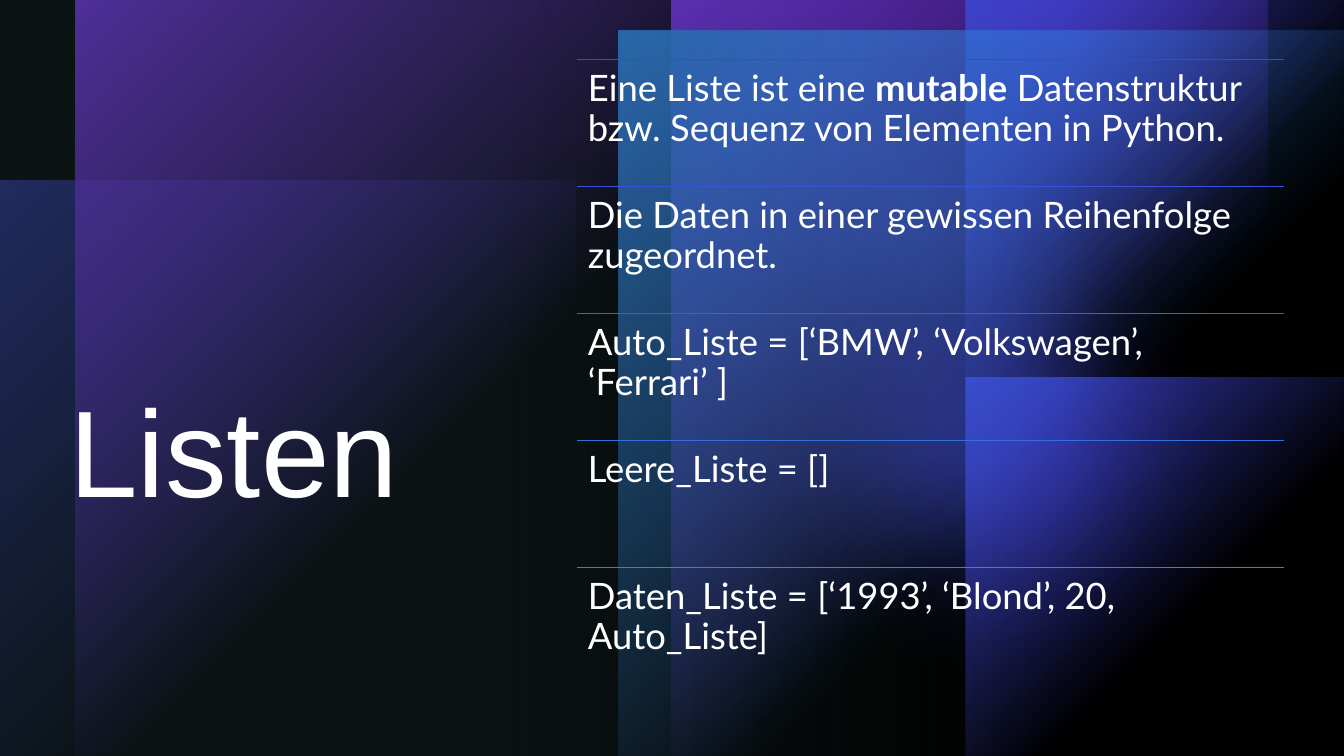
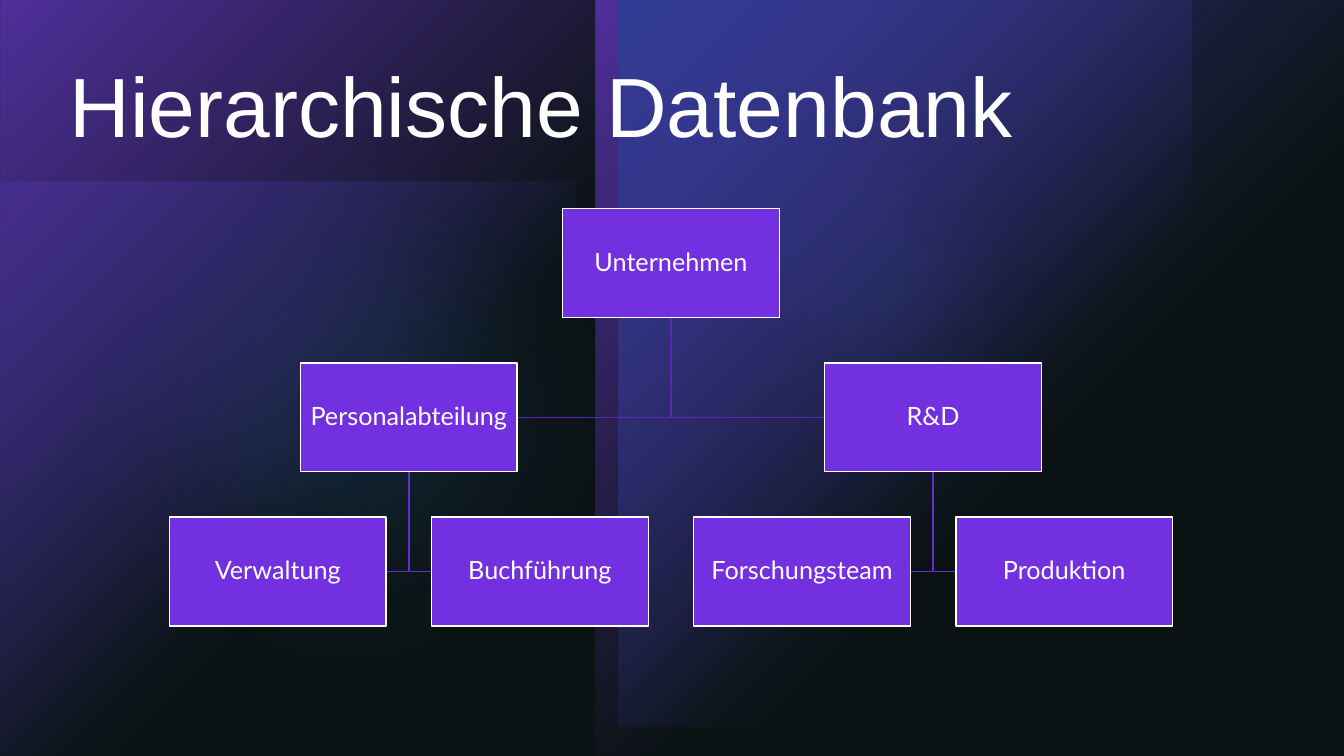
from pptx import Presentation
from pptx.dml.color import RGBColor
from pptx.enum.shapes import MSO_CONNECTOR, MSO_SHAPE
from pptx.enum.text import MSO_ANCHOR, PP_ALIGN
from pptx.oxml import parse_xml
from pptx.oxml.ns import nsdecls, qn
from pptx.util import Inches, Pt
from lxml import etree

HUES = {
    "black": "000000", "white": "FFFFFF", "violet": "7230E0",
    "indigo": "3F45D5", "blue": "3081E0", "slate": "1C2F31",
    "branch": "5B26B3", "twig": "672CCB",
}
RULES = ["3F45D5", "3B52D8", "3860DA", "3470DD", "3081E0"]
HEAD, BODY = "Arial", "Lato"
WIDE, HIGH = 13.33, 7.5
FULL = (0, 0, WIDE, HIGH)


def layer(slide, form, box, stops, turn=0, flip="", linear=False):
    """Add a translucent shape; stops are (position, hue, alpha) in percent."""
    shape = slide.shapes.add_shape(form, *[Inches(v) for v in box])
    shape.shadow.inherit = False
    shape.line.fill.background()
    shape.fill.background()
    shape.rotation = turn
    props = shape.element.spPr
    for axis in flip:
        props.xfrm.set("flip" + axis.upper(), "1")
    tints = [f'<a:srgbClr val="{HUES[hue]}"><a:alpha val="{alpha * 1000}"/></a:srgbClr>'
             for _, hue, alpha in stops]
    if len(stops) == 1:
        xml = f'<a:solidFill {nsdecls("a")}>{tints[0]}</a:solidFill>'
    else:
        marks = "".join(f'<a:gs pos="{stop[0] * 1000}">{tint}</a:gs>'
                        for stop, tint in zip(stops, tints))
        course = ('<a:lin ang="0" scaled="0"/>' if linear else
                  '<a:path path="circle"><a:fillToRect r="100000" b="100000"/></a:path>'
                  '<a:tileRect l="-100000" t="-100000"/>')
        xml = (f'<a:gradFill {nsdecls("a")} rotWithShape="1">'
               f'<a:gsLst>{marks}</a:gsLst>{course}</a:gradFill>')
    props.replace(props.find(qn("a:noFill")), parse_xml(xml))
    if form == MSO_SHAPE.OVAL:
        edge = etree.SubElement(props.find(qn("a:effectLst")), qn("a:softEdge"))
        edge.set("rad", str(Pt(100)))


def write(shape, text, size, font, inset=None, anchor=MSO_ANCHOR.TOP, align=PP_ALIGN.LEFT):
    """Fill a shape with one paragraph; parts between ** are bold."""
    frame = shape.text_frame
    frame.word_wrap = True
    frame.vertical_anchor = anchor
    if inset is not None:
        frame.margin_left = frame.margin_right = Inches(inset)
        frame.margin_top = frame.margin_bottom = Inches(inset)
    para = frame.paragraphs[0]
    para.alignment = align
    para.line_spacing = 0.9
    for i, part in enumerate(text.split("**")):
        run = para.add_run()
        run.text = part
        run.font.size = Pt(size)
        run.font.name = font
        run.font.bold = i % 2 == 1
        run.font.color.rgb = RGBColor.from_string(HUES["white"])


deck = Presentation()
deck.slide_width, deck.slide_height = Inches(WIDE), Inches(HIGH)
ground = deck.slide_master.background.fill
ground.solid()
ground.fore_color.rgb = RGBColor.from_string(HUES["black"])
blank = deck.slide_layouts[6]

RECT, OVAL = MSO_SHAPE.RECTANGLE, MSO_SHAPE.OVAL
violet, indigo, blue = [[(0, hue, 100), (60, hue, 0)] for hue in ("violet", "indigo", "blue")]
haze = [(0, "indigo", 60), (60, "indigo", 0)]

# Slide 1: lists
slide = deck.slides.add_slide(blank)
for args in [
    (RECT, (0, 1.79, 5.71, 5.71), haze, 270),
    (OVAL, (6.98, 0, 4.72, 4.72), [(0, "blue", 96)]),
    (OVAL, (6.69, 1.35, 6.02, 6.02), [(0, "indigo", 60)]),
    (RECT, (6.66, 0, 5.91, 7.5), violet),
    (RECT, (0.75, 0, 5.91, 7.5), violet, 0, "h"),
    (RECT, (9.58, 3.75, 3.75, 3.75), indigo, 90),
    (RECT, (9.58, 0, 3.75, 3.75), indigo, 90, "h"),
    (RECT, (6.13, 0.3, 7.21, 7.21), blue, 180),
]:
    layer(slide, *args)
layer(slide, RECT, FULL, [(0, "slate", 40), (37, "slate", 40), (79, "slate", 0)], linear=True)

title = slide.shapes.add_textbox(Inches(0.59), Inches(0.59), Inches(4.92), Inches(4.66))
write(title, "Listen", 88, HEAD, anchor=MSO_ANCHOR.BOTTOM)

facts = [
    "Eine Liste ist eine **mutable** Datenstruktur bzw. Sequenz von Elementen in Python.",
    "Die Daten in einer gewissen Reihenfolge zugeordnet.",
    "Auto_Liste = [‘BMW’, ‘Volkswagen’, ‘Ferrari’ ]",
    "Leere_Liste = []",
    "Daten_Liste = [‘1993’, ‘Blond’, 20, Auto_Liste]",
]
left, width, step = Inches(5.72), Inches(7.01), 1.26
for i, (fact, hue) in enumerate(zip(facts, RULES)):
    top = Inches(0.59 + i * step)
    rule = slide.shapes.add_connector(MSO_CONNECTOR.STRAIGHT, left, top, left + width, top)
    rule.line.color.rgb = RGBColor.from_string(hue)
    rule.line.width = Pt(1)
    etree.SubElement(rule.element.spPr, qn("a:effectLst"))
    box = slide.shapes.add_textbox(left, top, width, Inches(step))
    write(box, fact, 26, BODY, inset=0.11)

# Slide 2: hierarchy
slide = deck.slides.add_slide(blank)
for args in [
    (RECT, (0, 1.8, 5.71, 5.71), haze, 0, "v"),
    (OVAL, (6.29, 0.43, 4.72, 4.72), [(0, "blue", 60)], 0, "v"),
    (OVAL, (0, 0.56, 6.94, 6.94), [(0, "blue", 20)], 0, "v"),
    (RECT, (0, 0, 5.91, 7.5), violet, 180, "v"),
    (RECT, (5.91, 0, 5.91, 7.5), violet, 180, "hv"),
    (RECT, (6.13, 0, 7.21, 7.21), indigo, 180, "v"),
    (RECT, FULL, [(0, "slate", 40)]),
]:
    layer(slide, *args)

title = slide.shapes.add_textbox(Inches(0.59), Inches(0.59), Inches(12.14), Inches(1.98))
write(title, "Hierarchische Datenbank", 60, HEAD)

# Name, column, level, parent
nodes = [
    ("Unternehmen", 1.5, 0, None),
    ("Personalabteilung", 0.5, 1, "Unternehmen"),
    ("Verwaltung", 0, 2, "Personalabteilung"),
    ("Buchführung", 1, 2, "Personalabteilung"),
    ("R&D", 2.5, 1, "Unternehmen"),
    ("Forschungsteam", 2, 2, "R&D"),
    ("Produktion", 3, 2, "R&D"),
]
wide, high = Inches(2.15), Inches(1.08)
spots = {name: (Inches(1.68) + int(col * Inches(2.6)), Inches(2.07) + level * Inches(1.53))
         for name, col, level, _ in nodes}

for name, _, level, parent in nodes:
    if parent is None:
        continue
    (x, y), (px, py) = spots[name], spots[parent]
    trunk, mid = px + wide // 2, y + high // 2
    side = x if x > px else x + wide
    path = slide.shapes.build_freeform(trunk, py + high)
    path.add_line_segments([(trunk, mid), (side, mid)], close=False)
    link = path.convert_to_shape()
    link.shadow.inherit = False
    link.fill.background()
    link.line.color.rgb = RGBColor.from_string(HUES["branch" if level == 1 else "twig"])
    link.line.width = Pt(1)

for name, spot in spots.items():
    card = slide.shapes.add_shape(RECT, *spot, wide, high)
    card.shadow.inherit = False
    card.fill.solid()
    card.fill.fore_color.rgb = RGBColor.from_string(HUES["violet"])
    card.line.color.rgb = RGBColor.from_string(HUES["white"])
    card.line.width = Pt(1)
    write(card, name, 18, BODY, 0.01, MSO_ANCHOR.MIDDLE, PP_ALIGN.CENTER)

deck.save("out.pptx")
